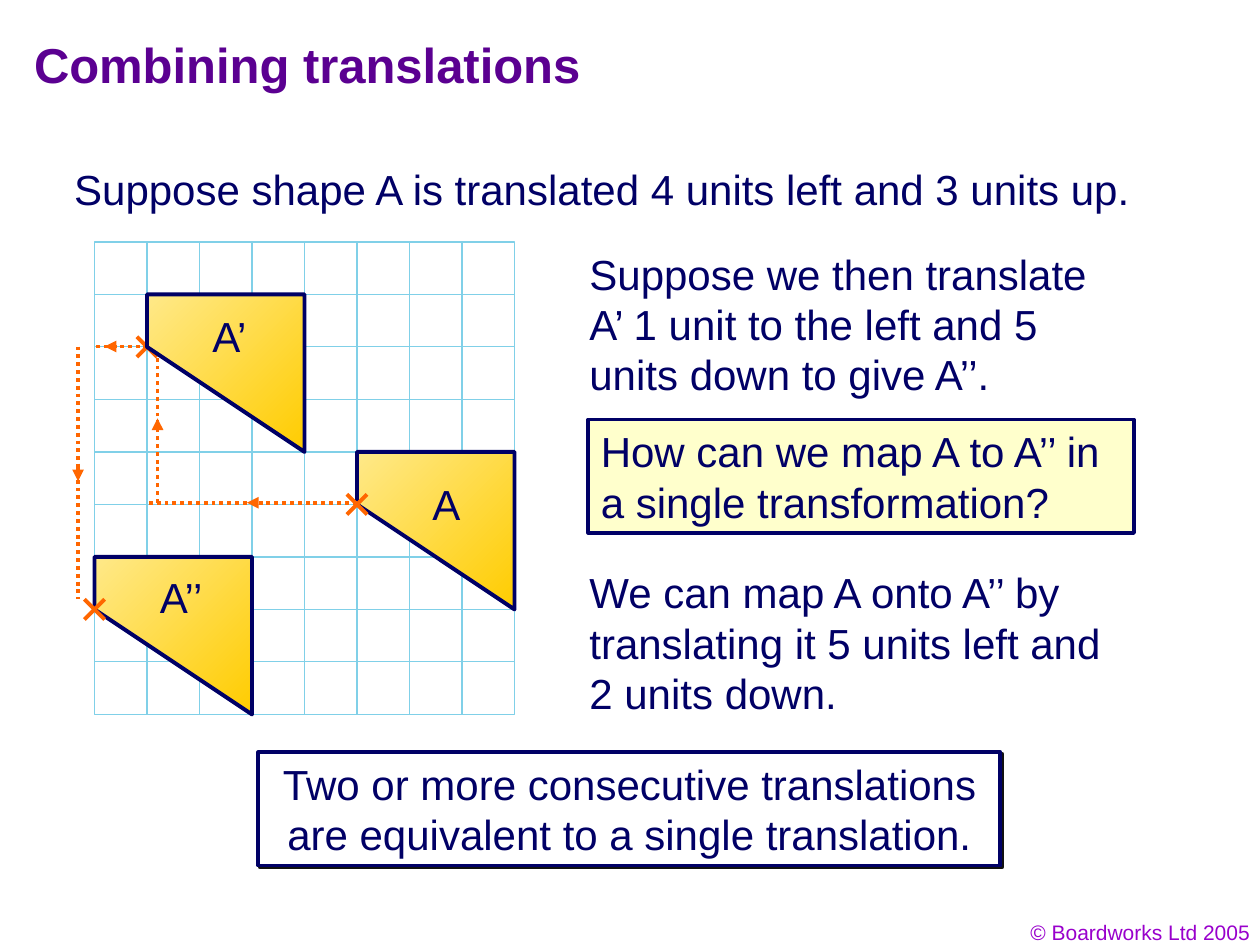
"""Build the "Combining translations" slide: three shapes on a grid with their moves."""
from lxml import etree
from pptx import Presentation
from pptx.dml.color import RGBColor
from pptx.enum.dml import MSO_LINE
from pptx.enum.shapes import MSO_CONNECTOR, MSO_SHAPE
from pptx.enum.text import MSO_ANCHOR, PP_ALIGN
from pptx.oxml import parse_xml
from pptx.oxml.ns import nsdecls, qn
from pptx.util import Inches, Pt

RECT = MSO_SHAPE.RECTANGLE
STRAIGHT = MSO_CONNECTOR.STRAIGHT
DOTTED = MSO_LINE.ROUND_DOT
TOP = MSO_ANCHOR.TOP
LEFT, CENTER, RIGHT = PP_ALIGN.LEFT, PP_ALIGN.CENTER, PP_ALIGN.RIGHT
NAVY, INK, ORANGE = "000066", "010066", "FF6600"
UNIT, GRID_X, GRID_Y = 1.25 / 3, 0.75, 1.92
rgb = RGBColor.from_string

prs = Presentation()
prs.slide_width, prs.slide_height = Inches(10), Inches(7.5)
slide = prs.slides.add_slide(prs.slide_layouts[5])
shapes = slide.shapes


def write(s, text, size=24, color=INK, align=LEFT, wrap=True, bold=False):
    tf = s.text_frame
    tf.word_wrap = wrap
    p = tf.paragraphs[0]
    p.alignment = align
    r = p.add_run()
    r.text = text
    r.font.name, r.font.size, r.font.bold = "Arial", Pt(size), bold
    r.font.color.rgb = rgb(color)
    return tf


def add_line(x1, y1, x2, y2, dash=None, arrow=False):
    c = shapes.add_connector(STRAIGHT, Inches(x1), Inches(y1), Inches(x2), Inches(y2))
    c.line.color.rgb = rgb(ORANGE)
    c.line.width = Pt(2.25)
    if dash:
        c.line.dash_style = dash
    if arrow:
        etree.SubElement(c.line._get_or_add_ln(), qn("a:tailEnd"), type="triangle")
    etree.SubElement(c._element.spPr, qn("a:effectLst"))


title = shapes.title
title.left, title.top = Inches(0.17), Inches(0.17)
title.width, title.height = Inches(8.5), Inches(0.67)
write(title, "Combining translations", 28, "5B0091", bold=True)

s = shapes.add_textbox(Inches(7.69), Inches(7.25), Inches(2.33), Inches(0.3))
write(s, "© Boardworks Ltd 2005", 12, "9900CC", RIGHT)

for row in range(9):
    for col in range(8):
        s = shapes.add_shape(RECT, Inches(GRID_X + col * UNIT), Inches(GRID_Y + row * UNIT),
                             Inches(UNIT), Inches(UNIT))
        s.shadow.inherit = False
        s.fill.background()
        s.line.color.rgb = rgb("80D0E8")
        s.line.width = Pt(0.75)

for text, x, y, w, h in [
    ("Suppose shape A is translated 4 units left and 3 units up.", 0.49, 1.25, 9.31, 0.5),
    ("Suppose we then translate A’ 1 unit to the left and 5 units down to give A’’.",
     4.58, 1.92, 4.33, 1.3),
    ("We can map A onto A’’ by translating it 5 units left and 2 units down.",
     4.58, 4.45, 4.33, 1.3),
]:
    write(shapes.add_textbox(Inches(x), Inches(y), Inches(w), Inches(h)), text)

for text, x, y, w, fill, align in [
    ("How can we map A to A’’ in a single transformation?", 4.67, 3.33, 4.33, "FFFFCC", LEFT),
    ("Two or more consecutive translations are equivalent to a single translation.",
     2.05, 5.97, 5.89, "FFFFFF", CENTER),
]:
    box = shapes.add_shape(RECT, Inches(x), Inches(y), Inches(w), Inches(0.9))
    box.shadow.inherit = False
    box.fill.solid()
    box.fill.fore_color.rgb = rgb(fill)
    box.line.color.rgb = rgb(NAVY)
    box.line.width = Pt(2.25)
    write(box, text, align=align).vertical_anchor = TOP

effects = box._element.spPr.find(qn("a:effectLst"))
effects.append(parse_xml(
    f'<a:outerShdw {nsdecls("a")} dist="17780" dir="2700000" algn="ctr" rotWithShape="0">'
    '<a:srgbClr val="111111"/></a:outerShdw>'))

corners = []
for name, col, row, dx, dy, w in [
    ("A", 5, 4, 0.5, 0.16, 0.42),
    ("A’’", 0, 6, 0.42, 0.07, 0.57),
    ("A’", 1, 1, 0.42, 0.08, 0.49),
]:
    x, y = GRID_X + col * UNIT, GRID_Y + row * UNIT
    corners.append((x, y + UNIT))
    points = [(x + 3 * UNIT, y + 3 * UNIT), (x + 3 * UNIT, y), (x, y), (x, y + UNIT)]
    points = [(Inches(px), Inches(py)) for px, py in points]
    builder = shapes.build_freeform(*points[0])
    builder.add_line_segments(points[1:], close=True)
    figure = builder.convert_to_shape()
    figure.shadow.inherit = False
    figure.fill.gradient()
    figure.fill.gradient_angle = 135
    for stop, color in zip(figure.fill.gradient_stops, ("FFCC00", "FFE989")):
        stop.color.rgb = rgb(color)
    figure.line.color.rgb = rgb(NAVY)
    figure.line.width = Pt(2.25)
    label = shapes.add_textbox(Inches(x + dx), Inches(y + dy), Inches(w), Inches(0.5))
    write(label, name, wrap=False)

for x, y in corners:
    add_line(x - 0.08, y - 0.08, x + 0.08, y + 0.08)
    add_line(x + 0.08, y - 0.08, x - 0.08, y + 0.08)

for path_line, head in [
    ((2.83, 3.99, 1.17, 3.99), (2.04, 3.99, 1.96, 3.99)),
    ((1.25, 3.99, 1.25, 2.74), (1.25, 3.41, 1.25, 3.32)),
    ((1.17, 2.75, 0.75, 2.75), (0.92, 2.75, 0.83, 2.75)),
    ((0.62, 2.75, 0.62, 4.75), (0.62, 3.68, 0.62, 3.82)),
]:
    add_line(*path_line, dash=DOTTED)
    add_line(*head, arrow=True)

for s in (figure, label):
    shapes._spTree.append(s._element)

prs.save("out.pptx")
